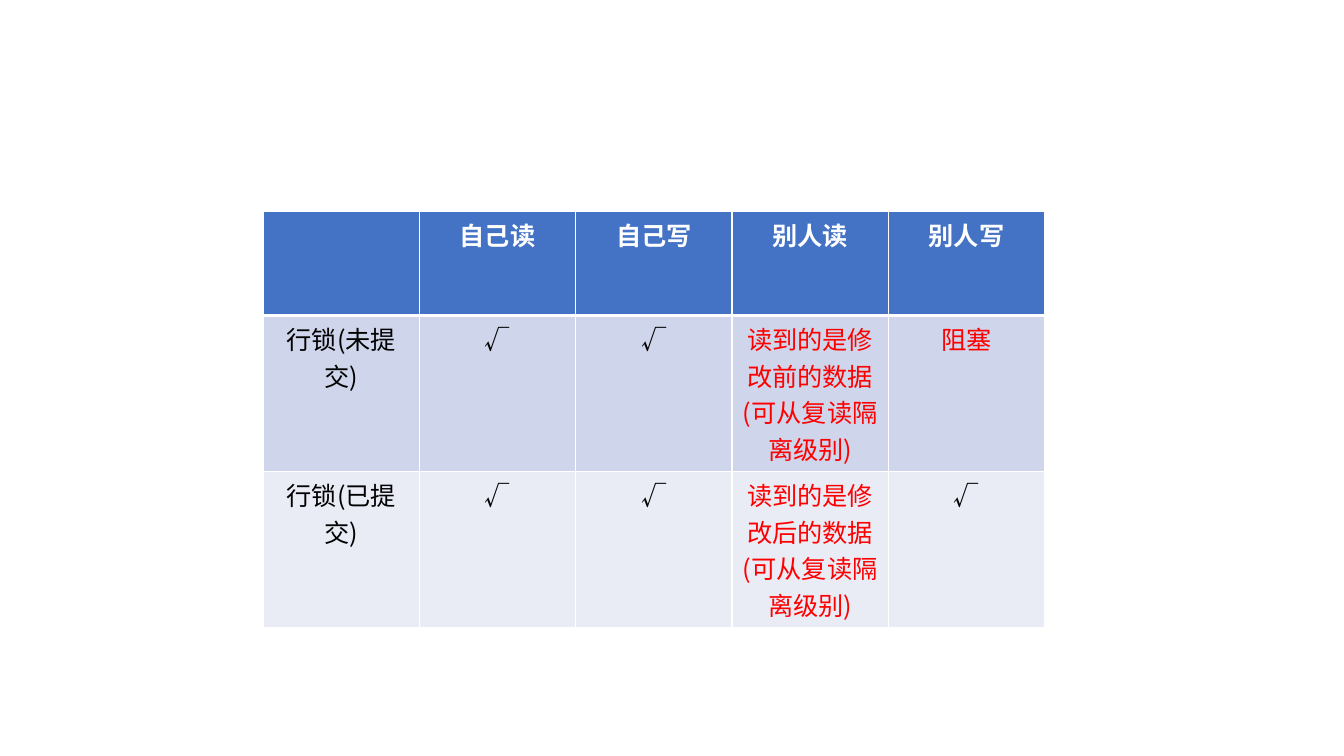
from lxml import etree
from pptx import Presentation
from pptx.dml.color import RGBColor
from pptx.enum.text import PP_ALIGN
from pptx.oxml.ns import qn
from pptx.util import Inches, Pt

CENTER = PP_ALIGN.CENTER

# Content: lock state against who reads or writes
HEADER = ["", "自己读", "自己写", "别人读", "别人写"]
LOCK_STATES = [
    ["行锁(未提交)", "√", "√", "读到的是修改前的数据(可从复读隔离级别)", "阻塞"],
    ["行锁(已提交)", "√", "√", "读到的是修改后的数据(可从复读隔离级别)", "√"],
]
HIGHLIGHT_STARTS = ("读到", "阻塞")

COLORS = {
    "header": "4472C4",
    "odd_row": "CFD5EA",
    "even_row": "E9EBF5",
    "white": "FFFFFF",
    "text": "000000",
    "highlight": "FF0000",
}
FONT = "Noto Sans CJK SC"
LEFT, TOP = 2.61, 2.1
COLUMN_WIDTH, ROW_HEIGHT = 1.55, 1.03


def rgb(name):
    return RGBColor.from_string(COLORS[name])


def set_borders(cell, widths):
    properties = cell._tc.get_or_add_tcPr()
    for side, width in zip(("lnL", "lnR", "lnT", "lnB"), widths):
        line = etree.SubElement(properties, qn(f"a:{side}"), w=str(Pt(width)))
        fill = etree.SubElement(line, qn("a:solidFill"))
        etree.SubElement(fill, qn("a:srgbClr"), val=COLORS["white"])


def write(cell, text, color, bold):
    paragraph = cell.text_frame.paragraphs[0]
    paragraph.alignment = CENTER
    run = paragraph.add_run()
    run.text = text
    run.font.size = Pt(18)
    run.font.bold = bold
    run.font.color.rgb = rgb(color)
    run.font.name = FONT
    etree.SubElement(run.font._element, qn("a:ea"), typeface=FONT)


prs = Presentation()
prs.slide_width, prs.slide_height = Inches(13.33), Inches(7.5)
slide = prs.slides.add_slide(prs.slide_layouts[6])

# Table
rows = [HEADER] + LOCK_STATES
lock_table = slide.shapes.add_table(
    len(rows), len(HEADER), Inches(LEFT), Inches(TOP),
    Inches(COLUMN_WIDTH * len(HEADER)), Inches(ROW_HEIGHT * len(rows))).table
for column in lock_table.columns:
    column.width = Inches(COLUMN_WIDTH)
for row in lock_table.rows:
    row.height = Inches(ROW_HEIGHT)

# Cells
for r, texts in enumerate(rows):
    is_header = r == 0
    row_fill = "header" if is_header else ("even_row", "odd_row")[r % 2]
    top_width = 3 if r == 1 else 1
    bottom_width = 3 if is_header else 1
    for c, text in enumerate(texts):
        cell = lock_table.cell(r, c)
        set_borders(cell, (1, 1, top_width, bottom_width))
        cell.fill.solid()
        cell.fill.fore_color.rgb = rgb(row_fill)
        if is_header:
            color = "white"
        else:
            color = "highlight" if text.startswith(HIGHLIGHT_STARTS) else "text"
        if text:
            write(cell, text, color, is_header)

prs.save("out.pptx")
